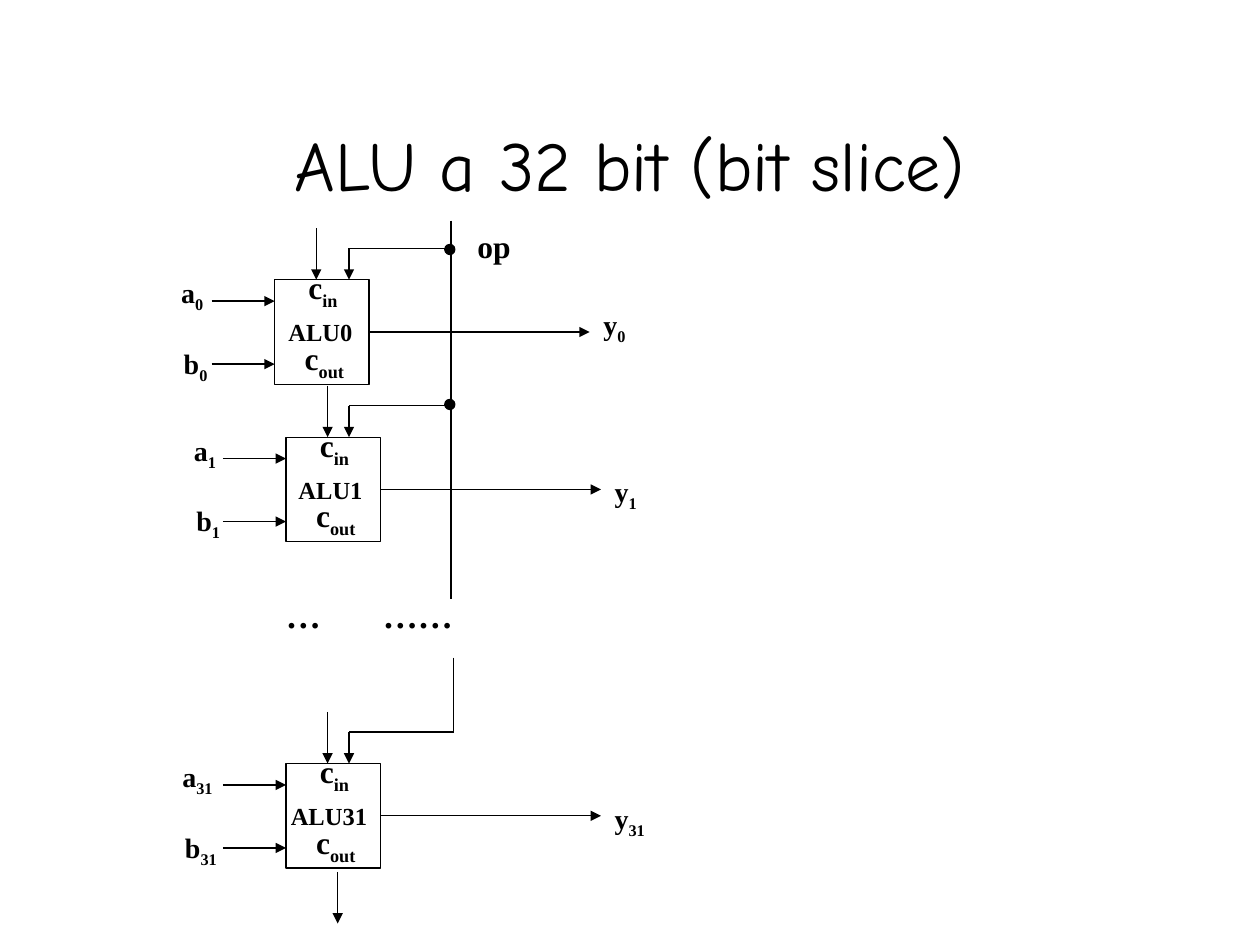
from lxml.etree import SubElement
from pptx import Presentation
from pptx.dml.color import RGBColor
from pptx.enum.shapes import MSO_CONNECTOR, MSO_SHAPE
from pptx.enum.text import MSO_ANCHOR, MSO_AUTO_SIZE, PP_ALIGN
from pptx.oxml.ns import qn
from pptx.util import Inches, Pt

BLACK = RGBColor(0x00, 0x00, 0x00)
WHITE = RGBColor(0xFF, 0xFF, 0xFF)
LINE_WIDTH = Pt(0.75)

presentation = Presentation()
presentation.slide_width = Inches(10)
presentation.slide_height = Inches(7.5)
slide = presentation.slides.add_slide(presentation.slide_layouts[6])


def add_text(text, left, top, width, height, size=16, font="Times New Roman", bold=True,
             align=PP_ALIGN.LEFT, anchor=MSO_ANCHOR.TOP, right_inset=0, tab=None):
    """Add a text box; whatever follows an underscore is set as a subscript."""
    box = slide.shapes.add_textbox(Inches(left), Inches(top), Inches(width), Inches(height))
    frame = box.text_frame
    frame.word_wrap = True
    frame.auto_size = MSO_AUTO_SIZE.NONE
    frame.vertical_anchor = anchor
    frame.margin_right = Inches(right_inset)
    paragraph = frame.paragraphs[0]
    paragraph.alignment = align
    if tab:
        tab_list = SubElement(paragraph._p.get_or_add_pPr(), qn("a:tabLst"))
        SubElement(tab_list, qn("a:tab"), pos=str(Inches(tab)), algn="l")
    for position, part in enumerate(text.split("_")):
        run = paragraph.add_run()
        run.text = part
        run.font.name = font
        run.font.size = Pt(size)
        run.font.bold = bold
        run.font.color.rgb = BLACK
        if position:
            run._r.get_or_add_rPr().set("baseline", "-25000")


def add_line(start_x, start_y, end_x, end_y, arrow=True):
    connector = slide.shapes.add_connector(
        MSO_CONNECTOR.STRAIGHT, Inches(start_x), Inches(start_y), Inches(end_x), Inches(end_y))
    connector.line.color.rgb = BLACK
    connector.line.width = LINE_WIDTH
    if arrow:
        SubElement(connector.line._get_or_add_ln(), qn("a:tailEnd"), type="triangle")
    SubElement(connector._element.spPr, qn("a:effectLst"))
    return connector


# Title
add_text("ALU a 32 bit (bit slice)", 0.75, 0.67, 8.5, 1.25, size=40, font="Comic Neue",
         bold=False, align=PP_ALIGN.CENTER, anchor=MSO_ANCHOR.MIDDLE, right_inset=0.1)

# One-bit slices: index, box corner, left of the input labels,
# left and width of the name, drop of the output label
box_width, box_height = 0.75, 0.83
op_x, op_input_x = 3.6, 2.77
slices = [
    ("0", 2.18, 2.22, 1.34, 2.19, 0.71, 0.17),
    ("1", 2.27, 3.47, 1.44, 2.27, 0.71, 0.25),
    ("31", 2.27, 6.06, 1.35, 2.21, 0.80, 0.25),
]
for index, left, top, input_left, name_left, name_width, output_drop in slices:
    box = slide.shapes.add_shape(MSO_SHAPE.RECTANGLE, Inches(left), Inches(top),
                                 Inches(box_width), Inches(box_height))
    box.shadow.inherit = False
    box.fill.solid()
    box.fill.fore_color.rgb = WHITE
    box.line.color.rgb = BLACK
    box.line.width = LINE_WIDTH

    # Texts in the box
    add_text("c_in", left + 0.17, top - 0.14, 0.43, 0.44, size=18)
    add_text("c_out", left + 0.14, top + 0.42, 0.51, 0.44, size=18)
    add_text("ALU" + index, name_left, top + 0.25, name_width, 0.34, size=14)

    # Inputs, output and carry in
    for drop in (0.17, 0.67):
        add_line(left - 0.5, top + drop, left, top + drop)
    middle, right = top + box_height / 2, left + box_width
    output = add_line(right, middle, right + 1.75, middle)
    output.begin_connect(box, 3)
    add_line(left + 0.33, top - 0.41, left + 0.33, top)

    # Signal labels
    label_width = 0.30 + 0.07 * len(index)
    add_text("a_" + index, input_left, top - 0.08, label_width, 0.41)
    add_text("b_" + index, input_left + 0.02, top + 0.48, label_width + 0.02, 0.41)
    add_text("y_" + index, left + 2.51, top + output_drop, label_width, 0.41)

    # Branch from the operation line
    add_line(op_x, top - 0.25, op_input_x, top - 0.25, arrow=False)
    add_line(op_input_x, top - 0.25, op_input_x, top)

# Operation line, interrupted between the second and the last slice
add_line(3.58, 1.75, 3.58, 4.75, arrow=False)
add_line(op_x, 5.22, op_x, 5.81, arrow=False)
add_text("…\t……", 2.17, 4.66, 1.52, 0.44, size=20, tab=0.77)
add_text("op", 3.69, 1.75, 0.46, 0.4, size=18)

# Last carry out
add_line(2.68, 6.92, 2.68, 7.33)

# Junction dots
for dot_top in (1.94, 3.17):
    dot = slide.shapes.add_shape(MSO_SHAPE.OVAL, Inches(3.53), Inches(dot_top),
                                 Inches(0.08), Inches(0.08))
    dot.shadow.inherit = False
    dot.fill.solid()
    dot.fill.fore_color.rgb = BLACK
    dot.line.color.rgb = BLACK
    dot.line.width = LINE_WIDTH

presentation.save("out.pptx")
